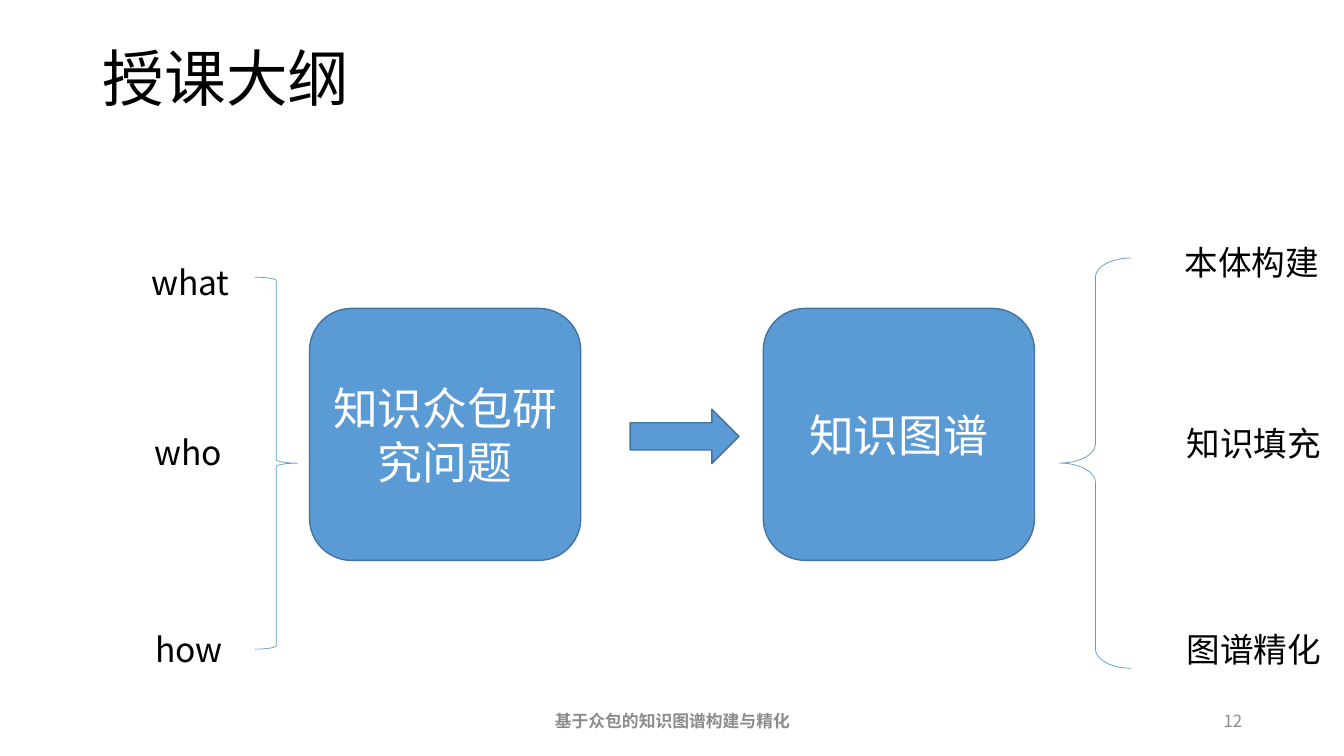
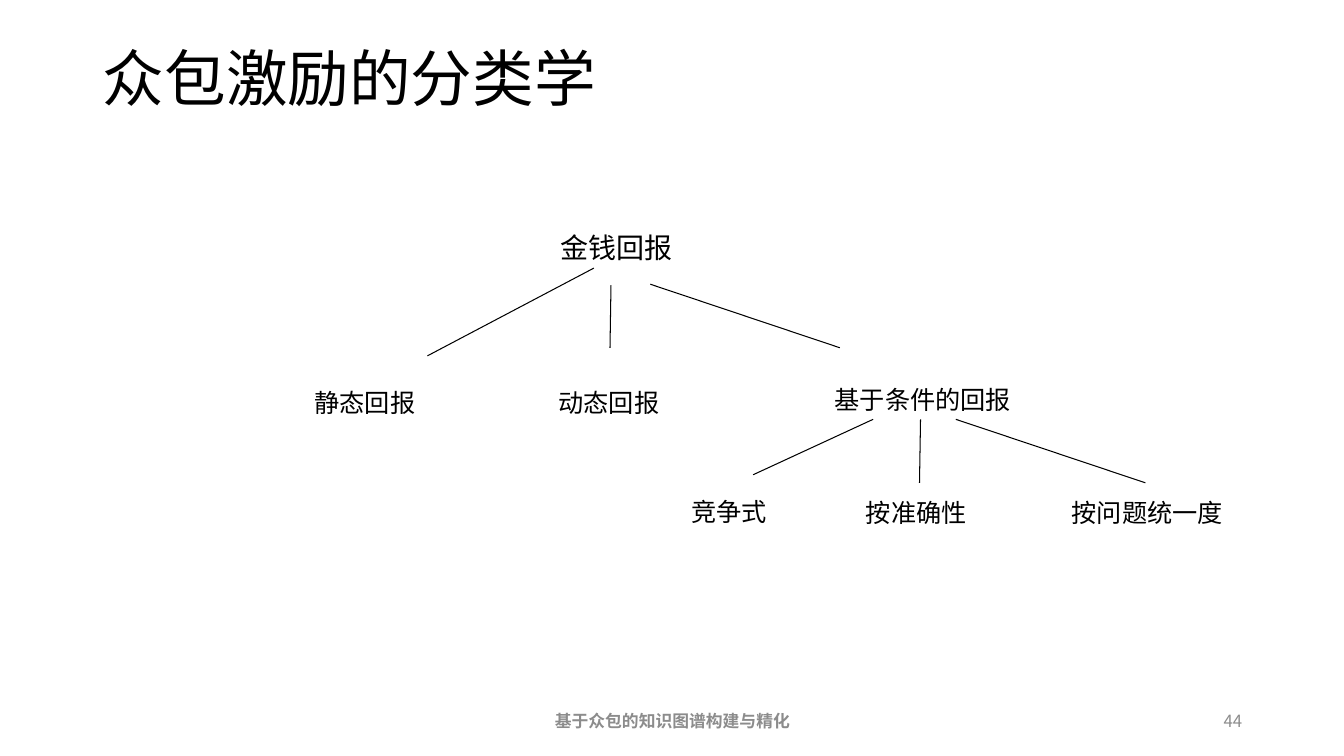
from dataclasses import dataclass

from lxml import etree
from pptx import Presentation
from pptx.dml.color import RGBColor
from pptx.enum.shapes import MSO_CONNECTOR, MSO_SHAPE
from pptx.enum.text import MSO_ANCHOR, PP_ALIGN
from pptx.oxml.ns import qn
from pptx.util import Emu, Pt

LEFT, CENTER, RIGHT = PP_ALIGN.LEFT, PP_ALIGN.CENTER, PP_ALIGN.RIGHT
TOP, MIDDLE = MSO_ANCHOR.TOP, MSO_ANCHOR.MIDDLE
ROUND, ARROW = MSO_SHAPE.ROUNDED_RECTANGLE, MSO_SHAPE.RIGHT_ARROW
LEFT_BRACE, RIGHT_BRACE = MSO_SHAPE.LEFT_BRACE, MSO_SHAPE.RIGHT_BRACE
STRAIGHT = MSO_CONNECTOR.STRAIGHT
SCALE = 9144
FOOTER = "基于众包的知识图谱构建与精化"


@dataclass(frozen=True)
class Theme:
    font: str = "Noto Sans CJK SC"
    plain: str = "Arial"
    ink: str = "000000"
    paper: str = "FFFFFF"
    grey: str = "8C8C8C"
    blue: str = "5B9BD5"
    edge: str = "43739E"
    title: int = 44
    block: int = 32
    label: int = 24
    root: int = 20
    leaf: int = 18
    foot: int = 12


THEME = Theme()


def px(*vals):
    return [Emu(val * SCALE) for val in vals]


def rgb(code):
    return RGBColor.from_string(code)


def write(shape, text, size, color=THEME.ink, font=THEME.font,
          align=LEFT, anchor=TOP, bold=False):
    frame = shape.text_frame
    frame.text = text
    frame.word_wrap = True
    frame.vertical_anchor = anchor
    para = frame.paragraphs[0]
    para.alignment = align
    for run in para.runs:
        run.font.size = Pt(size)
        run.font.bold = bold
        run.font.color.rgb = rgb(color)
        run.font.name = font
        east = etree.SubElement(run._r.get_or_add_rPr(), qn("a:ea"))
        east.set("typeface", THEME.font)
    return para


def add_text(slide, box, text, size, **style):
    write(slide.shapes.add_textbox(*px(*box)), text, size, **style)


def add_shape(slide, kind, box, edge, width, fill=None):
    shape = slide.shapes.add_shape(kind, *px(*box))
    shape.shadow.inherit = False
    if fill:
        shape.fill.solid()
        shape.fill.fore_color.rgb = rgb(fill)
    else:
        shape.fill.background()
    shape.line.color.rgb = rgb(edge)
    shape.line.width = Pt(width)
    return shape


def add_solid(slide, kind, box):
    return add_shape(slide, kind, box, THEME.edge, 1, THEME.blue)


def add_block(slide, left, text):
    block = add_solid(slide, ROUND, (left, 306, 269, 250))
    write(block, text, THEME.block, THEME.paper, align=CENTER, anchor=MIDDLE)


def add_brace(slide, kind, box):
    return add_shape(slide, kind, box, THEME.blue, 0.5)


def add_line(slide, start, end):
    line = slide.shapes.add_connector(STRAIGHT, *px(*start, *end))
    line.line.color.rgb = rgb(THEME.ink)
    line.line.width = Pt(0.75)
    etree.SubElement(line._element.spPr, qn("a:effectLst"))


def add_slide(deck, title, number):
    slide = deck.slides.add_slide(deck.slide_layouts[5])
    head = slide.shapes.title
    head.left, head.top, head.width, head.height = px(92, 42, 1150, 78)
    write(head, title, THEME.title, anchor=MIDDLE).line_spacing = 0.9
    add_text(slide, (442, 695, 450, 40), FOOTER, THEME.foot,
             color=THEME.grey, align=CENTER, anchor=MIDDLE, bold=True)
    add_text(slide, (942, 695, 300, 40), str(number), THEME.foot,
             color=THEME.grey, align=RIGHT, anchor=MIDDLE)
    return slide


def outline(deck):
    slide = add_slide(deck, "授课大纲", 12)
    add_block(slide, 307, "知识众包研究问题")
    add_block(slide, 757, "知识图谱")
    add_solid(slide, ARROW, (625, 406, 108, 54))
    add_brace(slide, RIGHT_BRACE, (253, 275, 42, 369))
    brace = add_brace(slide, LEFT_BRACE, (1051, 256, 71, 407))
    brace.adjustments[0] = 0.27
    labels = (
        (140, 255, 112, "what"),
        (143, 424, 112, "who"),
        (144, 619, 112, "how"),
        (1165, 235, 167, "本体构建"),
        (1167, 415, 167, "知识填充"),
        (1167, 619, 167, "图谱精化"),
    )
    for left, top, width, text in labels:
        add_text(slide, (left, top, width, 50), text, THEME.label)


def taxonomy(deck):
    slide = add_slide(deck, "众包激励的分类学", 44)
    add_text(slide, (546, 224, 260, 44), "金钱回报", THEME.root,
             font=THEME.plain)
    leaves = (
        (302, 379, 205, "静态回报"),
        (544, 379, 244, "动态回报"),
        (818, 376, 244, "基于条件的回报"),
        (676, 487, 157, "竞争式"),
        (849, 488, 157, "按准确性"),
        (1053, 488, 189, "按问题统一度"),
    )
    for left, top, width, text in leaves:
        add_text(slide, (left, top, width, 40), text, THEME.leaf,
                 font=THEME.plain)
    links = (
        ((589, 266), (424, 353)),
        ((606, 283), (605, 345)),
        ((645, 282), (833, 345)),
        ((866, 416), (747, 471)),
        ((913, 416), (912, 479)),
        ((948, 416), (1136, 479)),
    )
    for start, end in links:
        add_line(slide, start, end)


def main():
    deck = Presentation()
    deck.slide_width, deck.slide_height = px(1333, 750)
    outline(deck)
    taxonomy(deck)
    deck.save("out.pptx")


if __name__ == "__main__":
    main()
